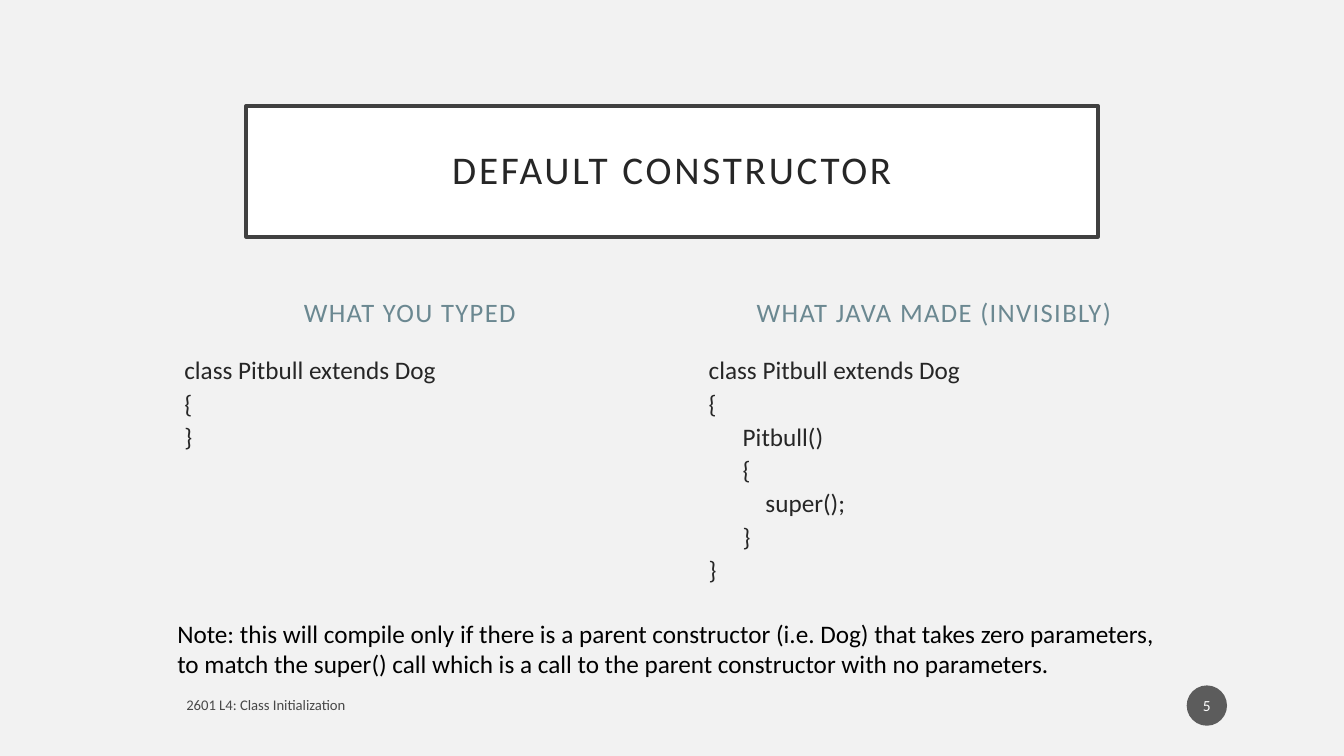
from dataclasses import dataclass

from lxml import etree
from pptx import Presentation
from pptx.dml.color import RGBColor
from pptx.enum import shapes, text
from pptx.oxml import ns
from pptx.util import Inches, Pt


@dataclass(frozen=True)
class Theme:
    font: str = "Calibri"
    background: str = "F2F2F2"
    panel: str = "FFFFFF"
    border: str = "404040"
    ink: str = "262626"
    heading: str = "6B8891"
    black: str = "000000"
    badge: str = "1D1D1D"
    title_size: float = 28
    heading_size: float = 19
    body_size: float = 18
    badge_size: float = 11
    footer_size: float = 10.5


THEME = Theme()
CENTER = text.PP_ALIGN.CENTER
MIDDLE = text.MSO_ANCHOR.MIDDLE
BOTTOM = text.MSO_ANCHOR.BOTTOM

CODE_TYPED = ["class Pitbull extends Dog", "{", "}"]
CODE_MADE = [
    "class Pitbull extends Dog",
    "{",
    "      Pitbull()",
    "      {",
    "          super();",
    "      }",
    "}",
]
COLUMNS = [
    (1.73, 4.67, "WHAT YOU TYPED", CODE_TYPED),
    (6.93, 4.65, "WHAT JAVA MADE (INVISIBLY)", CODE_MADE),
]
NOTE = (
    "Note: this will compile only if there is a parent constructor (i.e. Dog) "
    "that takes zero parameters, to match the super() call which is a call to "
    "the parent constructor with no parameters."
)


def paint(fill, color, opacity=100):
    """Fill with a solid colour, opacity in percent."""
    fill.solid()
    fill.fore_color.rgb = RGBColor.from_string(color)
    if opacity < 100:
        tint = fill._xPr.find(".//" + ns.qn("a:srgbClr"))
        etree.SubElement(tint, ns.qn("a:alpha"), val=str(opacity * 1000))


def write(box, lines, size, color, align=None, anchor=text.MSO_ANCHOR.TOP,
          line_spacing=None, tracking=0, opacity=100, insets=(0.1, 0.05)):
    """Write one paragraph per line; tracking is in points."""
    frame = box.text_frame
    frame.word_wrap = True
    frame.vertical_anchor = anchor
    frame.margin_left = frame.margin_right = Inches(insets[0])
    frame.margin_top = frame.margin_bottom = Inches(insets[1])
    for index, line in enumerate(lines):
        para = frame.add_paragraph() if index else frame.paragraphs[0]
        para.alignment = align
        para.line_spacing = line_spacing
        span = para.add_run()
        span.text = line
        span.font.name = THEME.font
        span.font.size = Pt(size)
        paint(span.font.fill, color, opacity)
        if tracking:
            span.font._element.set("spc", str(tracking * 100))


def add_text(page, place, lines, size, color, **style):
    box = page.shapes.add_textbox(*map(Inches, place))
    write(box, lines, size, color, **style)


def add_panel(page, kind, place, color, opacity=100):
    panel = page.shapes.add_shape(kind, *map(Inches, place))
    panel.shadow.inherit = False
    paint(panel.fill, color, opacity)
    panel.line.fill.background()
    return panel


def add_title(page, title):
    panel = add_panel(page, shapes.MSO_SHAPE.RECTANGLE,
                      (2.44, 1.05, 8.45, 1.3), THEME.panel)
    paint(panel.line.fill, THEME.border)
    panel.line.width = Pt(2.5)
    write(panel, [title], THEME.title_size, THEME.ink, align=CENTER,
          anchor=MIDDLE, line_spacing=0.9, tracking=2, insets=(0.2, 0.2))


def add_column(page, left, code_width, heading, code):
    add_text(page, (left, 2.53, 4.67, 0.77), [heading], THEME.heading_size,
             THEME.heading, align=CENTER, anchor=BOTTOM, tracking=1)
    add_text(page, (left, 3.44, code_width, 2.84), code, THEME.body_size,
             THEME.ink, line_spacing=1.1)


def add_footer(page, label, number):
    add_text(page, (1.75, 6.82, 6.45, 0.35), [label], THEME.footer_size,
             THEME.black, anchor=MIDDLE, opacity=70)
    badge = add_panel(page, shapes.MSO_SHAPE.OVAL, (11.77, 6.8, 0.4, 0.4),
                      THEME.badge, opacity=70)
    write(badge, [number], THEME.badge_size, THEME.panel, align=CENTER,
          anchor=MIDDLE, insets=(0.02, 0.05))


def main():
    deck = Presentation()
    deck.slide_width, deck.slide_height = Inches(13.33), Inches(7.5)
    page = deck.slides.add_slide(deck.slide_layouts[6])
    paint(page.background.fill, THEME.background)
    add_title(page, "DEFAULT CONSTRUCTOR")
    for column in COLUMNS:
        add_column(page, *column)
    add_text(page, (1.66, 6.08, 10.11, 0.71), [NOTE], THEME.body_size,
             THEME.black)
    add_footer(page, "2601 L4: Class Initialization", "5")
    deck.save("out.pptx")


if __name__ == "__main__":
    main()
